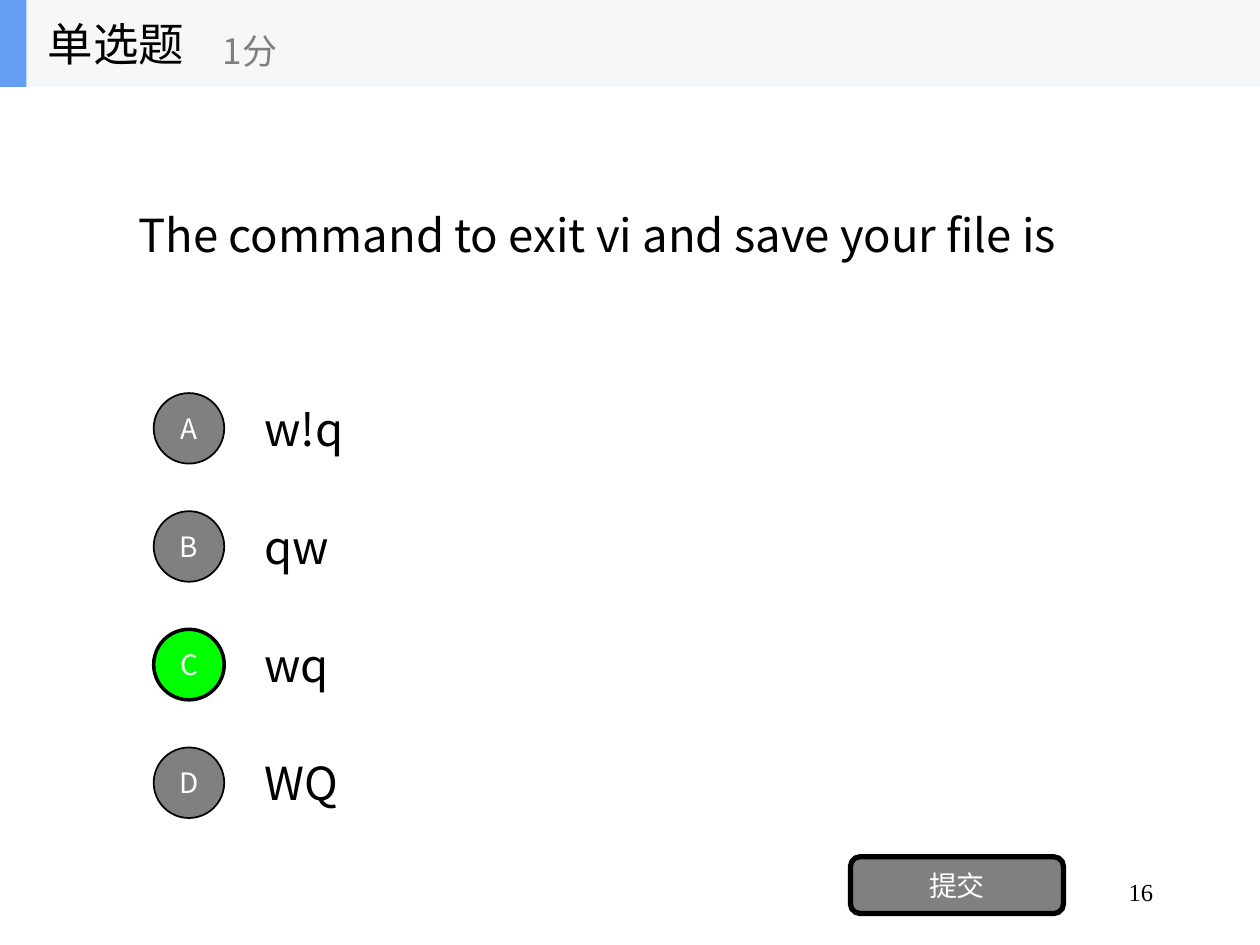
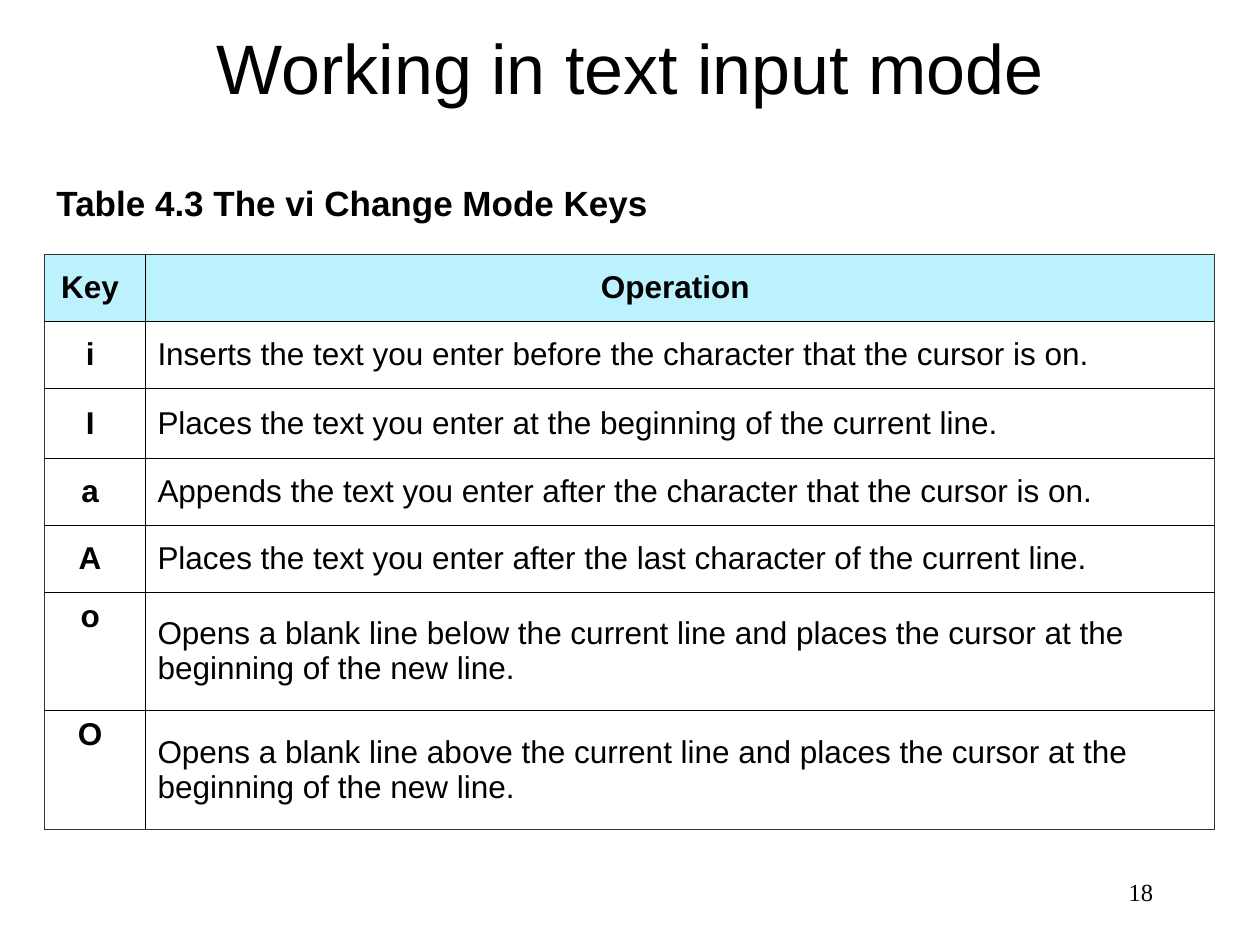
from lxml import etree
from pptx import Presentation
from pptx.dml.color import RGBColor
from pptx.enum.shapes import MSO_SHAPE
from pptx.enum.text import MSO_ANCHOR, PP_ALIGN
from pptx.oxml.ns import qn
from pptx.util import Inches, Pt

LEFT, CENTER, RIGHT = PP_ALIGN.LEFT, PP_ALIGN.CENTER, PP_ALIGN.RIGHT
TOP, MIDDLE = MSO_ANCHOR.TOP, MSO_ANCHOR.MIDDLE
OVAL, RECTANGLE = MSO_SHAPE.OVAL, MSO_SHAPE.RECTANGLE
ROUNDED = MSO_SHAPE.ROUNDED_RECTANGLE

SANS, QUIZ, SERIF = "Arial", "Noto Sans CJK SC", "Times New Roman"
BLACK, WHITE, GRAY, GREEN = "000000", "FFFFFF", "808080", "00FF00"
BAND, ACCENT = "F6F7F8", "639EF4"
HEADER_FILL, OUTER_EDGE = "BCF1FE", "333333"
TITLE_ONLY, BLANK = 5, 6

OPTIONS = ["w!q", "qw", "wq", "WQ"]
ANSWER = "wq"
KEY_ROWS = [
    ("Key", "Operation"),
    ("i", "Inserts the text you enter before the character that the cursor is on."),
    ("I", "Places the text you enter at the beginning of the current line."),
    ("a", "Appends the text you enter after the character that the cursor is on."),
    ("A", "Places the text you enter after the last character of the current line."),
    ("o", "Opens a blank line below the current line and places the cursor at the "
          "beginning of the new line."),
    ("O", "Opens a blank line above the current line and places the cursor at the "
          "beginning of the new line."),
]
COLUMN_WIDTHS = [0.8, 8.49]
ROW_HEIGHTS = [0.53, 0.53, 0.56, 0.53, 0.53, 0.94, 0.94]
TALL_ROW = 0.9


def color(value):
    return RGBColor.from_string(value)


def write(frame, text, size, font=QUIZ, ink=BLACK, bold=False, align=LEFT):
    para = frame.paragraphs[0]
    para.alignment = align
    span = para.add_run()
    span.text = text
    span.font.size = Pt(size)
    span.font.bold = bold
    span.font.color.rgb = color(ink)
    span.font.name = font
    east_asian = etree.SubElement(span.font._element, qn("a:ea"))
    east_asian.set("typeface", font)


def add_text(page, place, text, size, anchor=MIDDLE, **style):
    box = page.shapes.add_textbox(*map(Inches, place))
    box.text_frame.word_wrap = True
    box.text_frame.vertical_anchor = anchor
    write(box.text_frame, text, size, **style)


def add_block(page, kind, place, fill, line_width=0):
    block = page.shapes.add_shape(kind, *map(Inches, place))
    block.shadow.inherit = False
    block.fill.solid()
    block.fill.fore_color.rgb = color(fill)
    if line_width:
        block.line.color.rgb = color(BLACK)
        block.line.width = Pt(line_width)
    else:
        block.line.fill.background()
    return block


def add_button(page, kind, place, label, fill, line_width):
    button = add_block(page, kind, place, fill, line_width)
    button.text_frame.word_wrap = False
    button.text_frame.vertical_anchor = MIDDLE
    write(button.text_frame, label, 16, ink=WHITE, align=CENTER)


def add_page_number(page, number):
    add_text(page, (7.17, 6.83, 2.08, 0.5), number, 14, font=SERIF, align=RIGHT)


def add_quiz_header(page, kind, points):
    add_block(page, RECTANGLE, (0, 0, 10, 0.69), BAND)
    add_block(page, RECTANGLE, (0, 0, 0.21, 0.69), ACCENT)
    add_text(page, (0.28, 0, 2.08, 0.69), kind, 26)
    add_text(page, (1.67, 0.12, 2.5, 0.56), points, 20, ink=GRAY)


def add_options(page, options, answer):
    for index, option in enumerate(options):
        top = 3.05 + index * 0.9375
        right = option == answer
        add_text(page, (2, top, 7, 0.7), option, 26)
        add_button(page, OVAL, (1.22, top + 0.07, 0.56, 0.56), "ABCD"[index],
                   GREEN if right else GRAY, 2 if right else 1)


def set_borders(cell, outer_sides):
    """Draw all four edges, with the outer style on the given sides."""
    properties = cell._tc.get_or_add_tcPr()
    for index, side in enumerate("LRTB"):
        outer = side in outer_sides
        line = etree.Element(qn("a:ln" + side))
        line.set("w", str(Pt(0.45 if outer else 0.34)))
        fill = etree.SubElement(line, qn("a:solidFill"))
        tint = etree.SubElement(fill, qn("a:srgbClr"))
        tint.set("val", OUTER_EDGE if outer else BLACK)
        properties.insert(index, line)


def add_key_table(page):
    rows, columns = len(KEY_ROWS), len(COLUMN_WIDTHS)
    place = (0.35, 2.02, sum(COLUMN_WIDTHS), sum(ROW_HEIGHTS))
    table = page.shapes.add_table(rows, columns, *map(Inches, place)).table
    table.first_row = table.horz_banding = False
    for column, width in zip(table.columns, COLUMN_WIDTHS):
        column.width = Inches(width)
    for row, (height, texts) in enumerate(zip(ROW_HEIGHTS, KEY_ROWS)):
        table.rows[row].height = Inches(height)
        for column, text in enumerate(texts):
            cell = table.cell(row, column)
            strong = row == 0 or column == 0
            if strong:
                cell.margin_right = Inches(0.17)
            tall_key = column == 0 and height > TALL_ROW
            cell.vertical_anchor = TOP if tall_key else MIDDLE
            write(cell.text_frame, text, 18, font=SANS, bold=strong,
                  align=CENTER if strong else LEFT)
            if row == 0:
                cell.fill.solid()
                cell.fill.fore_color.rgb = color(HEADER_FILL)
            else:
                cell.fill.background()
            set_borders(cell, ("L" if column == 0 else "R")
                        + ("T" if row == 0 else "")
                        + ("B" if row == rows - 1 else ""))


def set_title(page, text):
    title = page.shapes.title
    title.left, title.top, title.width, title.height = map(
        Inches, (0.75, 0.13, 8.5, 0.79))
    title.text_frame.vertical_anchor = MIDDLE
    write(title.text_frame, text, 40, font=SANS, align=CENTER)


def build_quiz_page(deck):
    page = deck.slides.add_slide(deck.slide_layouts[BLANK])
    add_page_number(page, "16")
    add_text(page, (1, 0.69, 8, 2.34),
             "The command to exit vi and save your file is", 26)
    add_options(page, OPTIONS, ANSWER)
    add_button(page, ROUNDED, (6.75, 6.8, 1.69, 0.45), "提交", GRAY, 3)
    add_quiz_header(page, "单选题", "1分")


def build_keys_page(deck):
    page = deck.slides.add_slide(deck.slide_layouts[TITLE_ONLY])
    add_page_number(page, "18")
    set_title(page, "Working in text input mode")
    add_key_table(page)
    add_text(page, (0.35, 1.39, 5.47, 0.44), "Table 4.3 The vi Change Mode Keys",
             20, anchor=TOP, font=SANS, bold=True)


def main():
    deck = Presentation()
    deck.slide_width, deck.slide_height = Inches(10), Inches(7.5)
    build_quiz_page(deck)
    build_keys_page(deck)
    deck.save("out.pptx")


if __name__ == "__main__":
    main()
